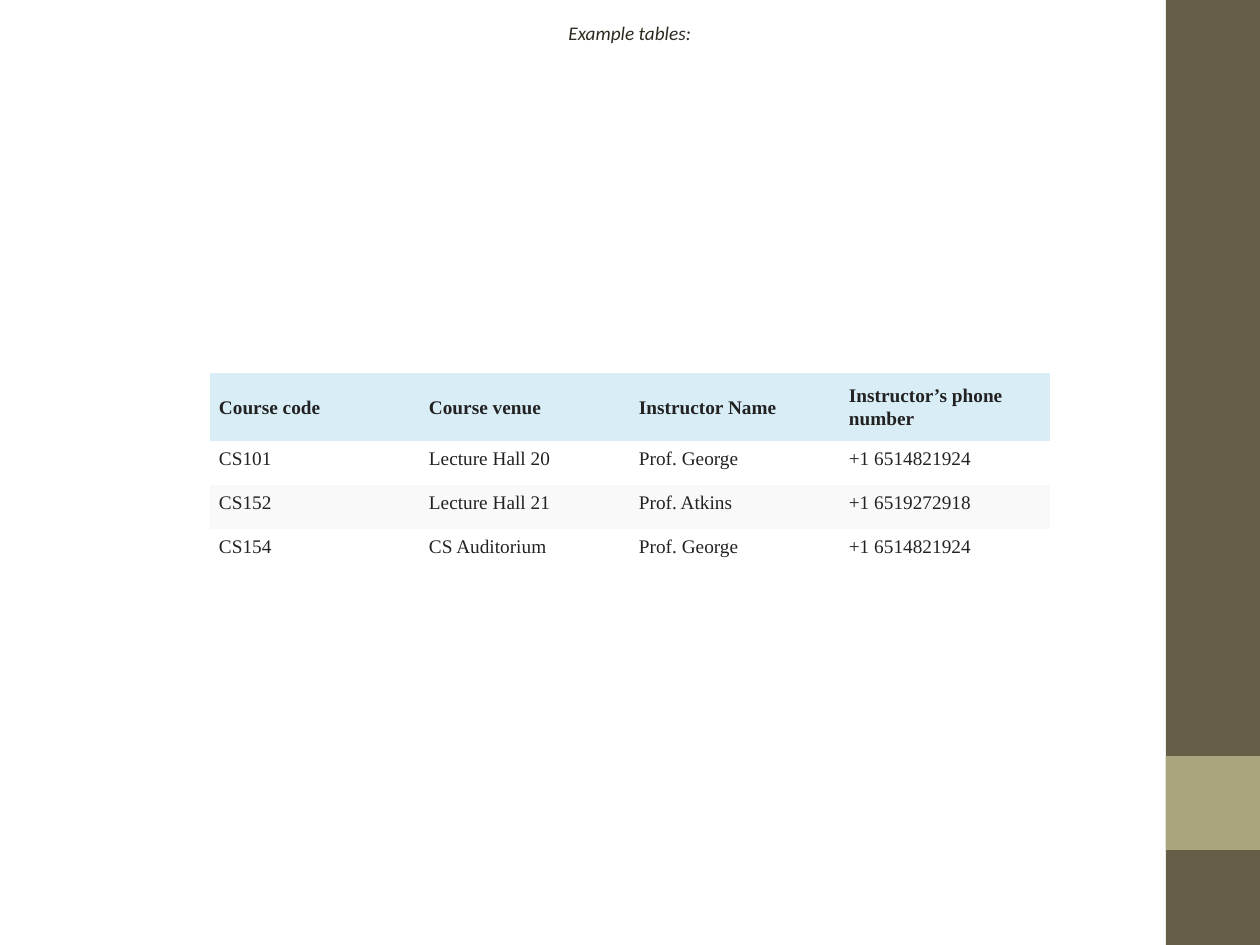
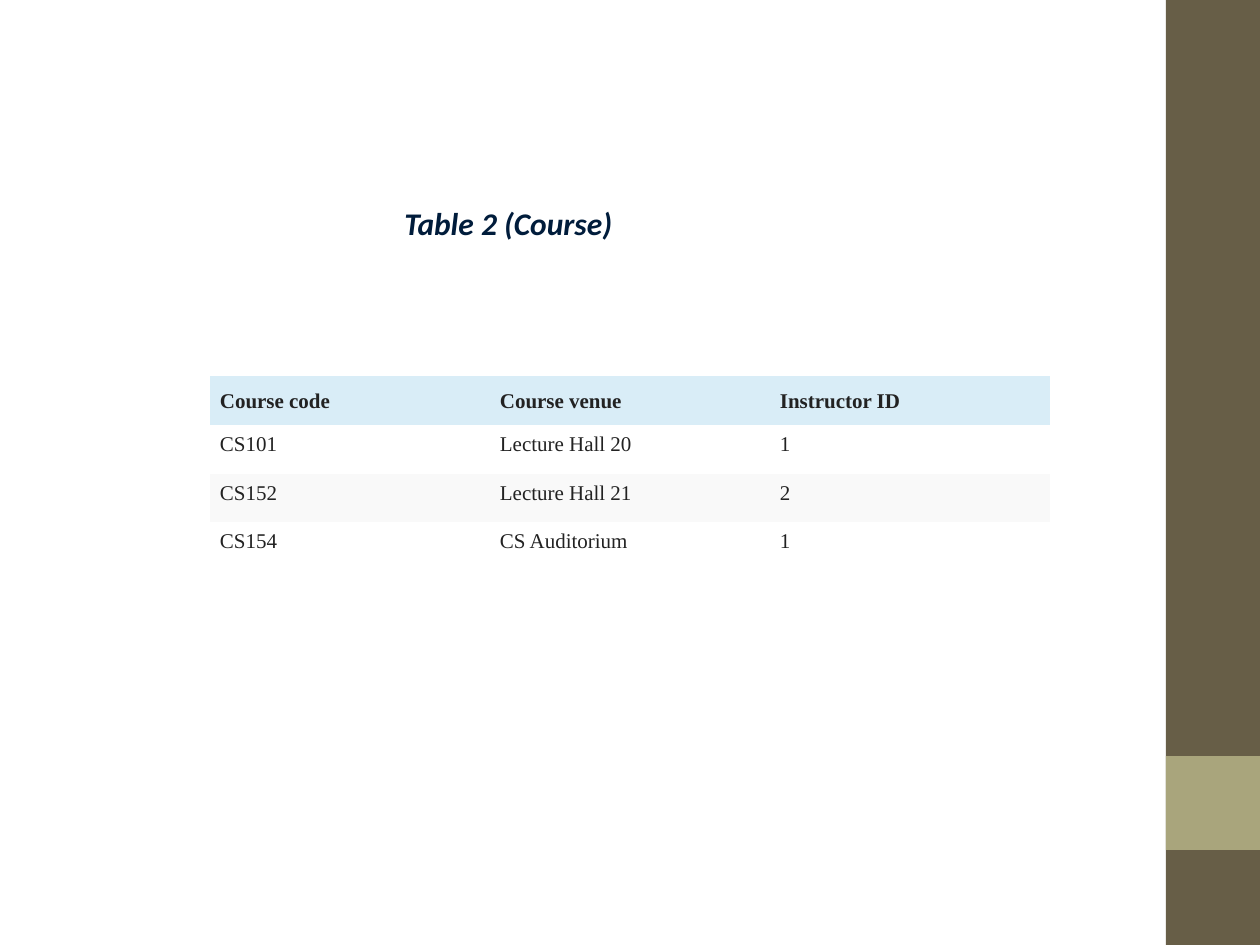
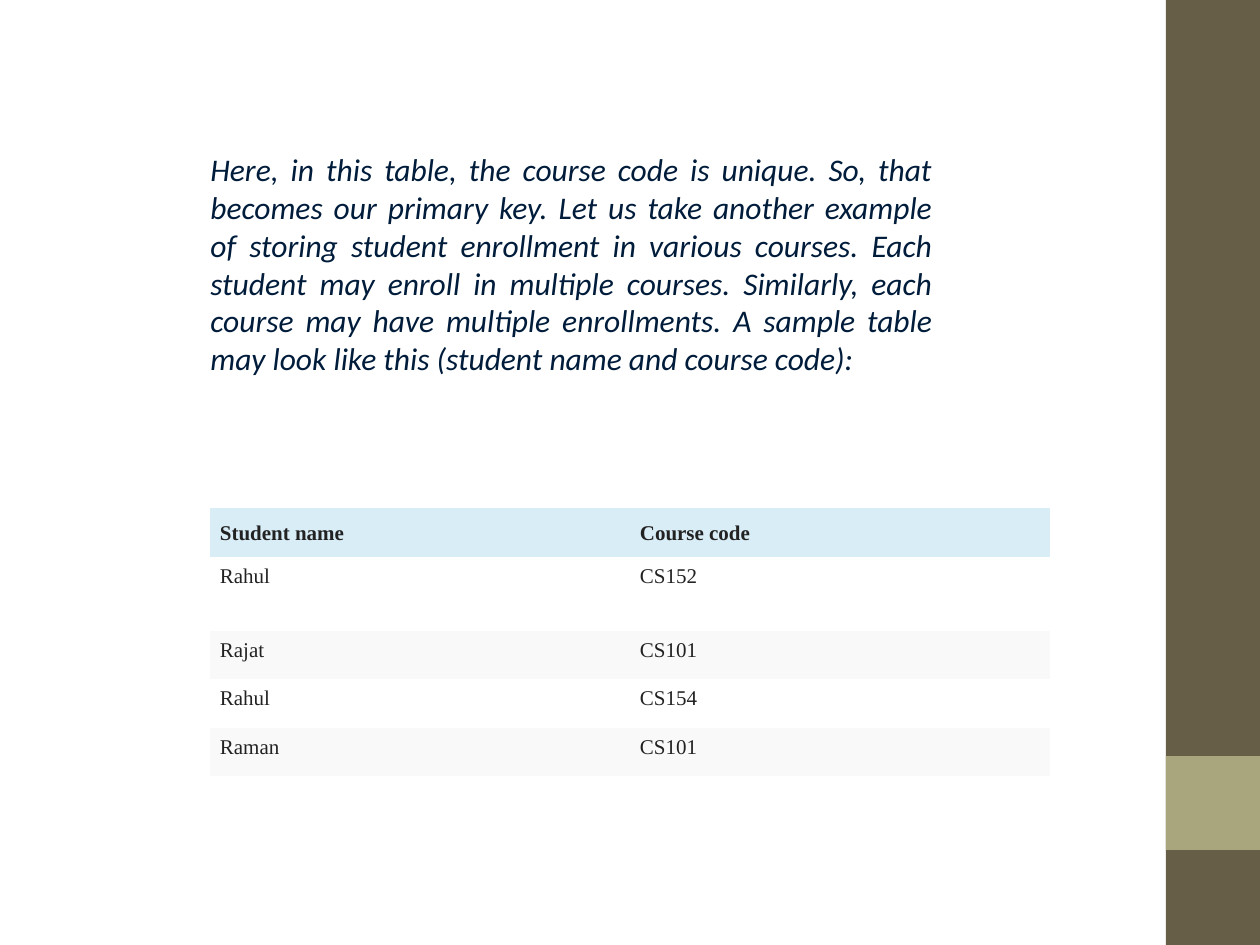
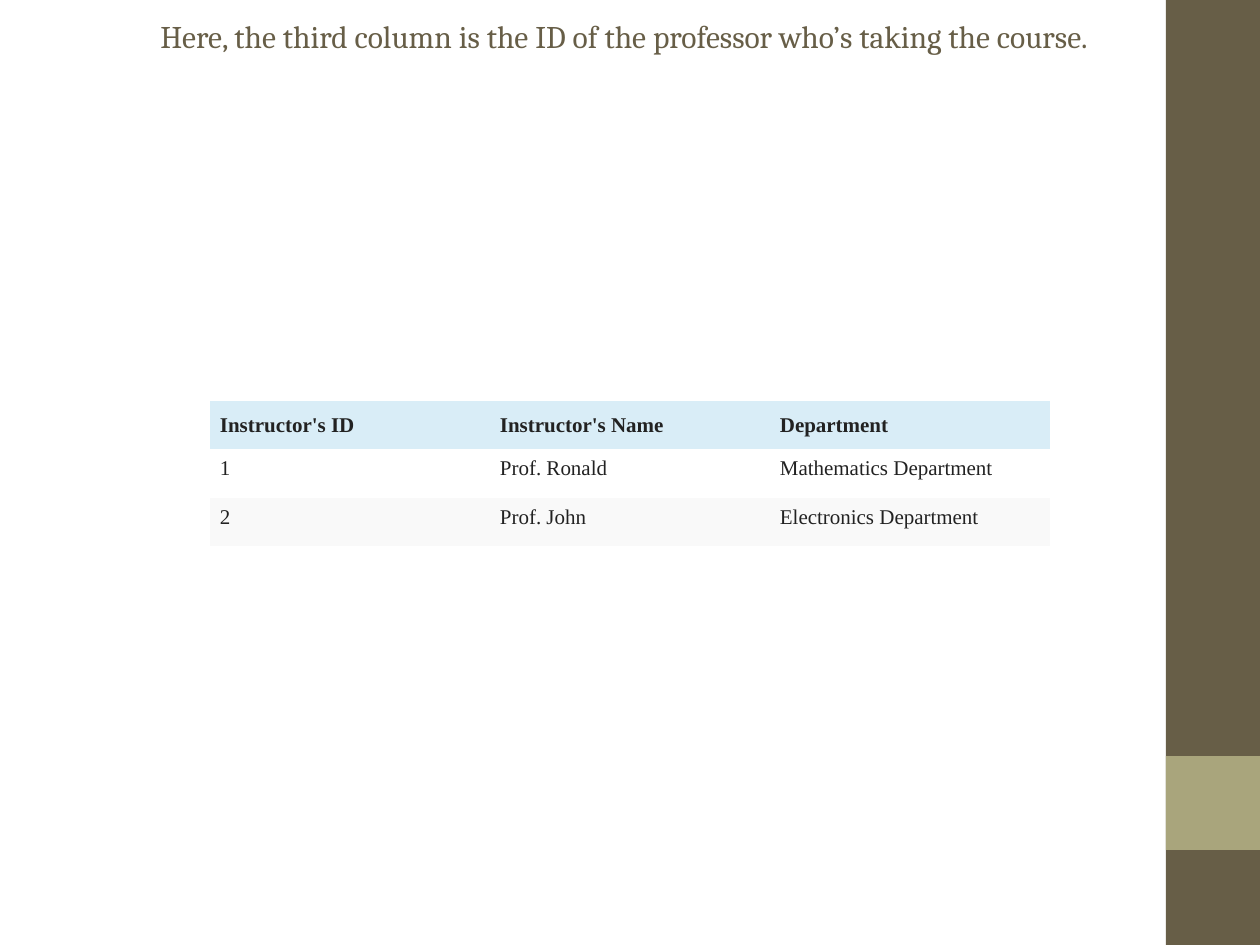
from pptx import Presentation
from pptx.dml.color import RGBColor
from pptx.enum import shapes, text
from pptx.oxml.ns import qn
from pptx.util import Pt

SCALE = 914400 / 126
PLAIN = "{2D5ABB26-0587-4C30-8999-92F81FD0307C}"
OLIVE, SAGE, NAVY, DARK = "675E47", "A9A57C", "001C3B", "2F2B20"
HEAD, INK, ROWS = "D9EDF7", "222222", ("FFFFFF", "F9F9F9")
MID = text.MSO_ANCHOR.MIDDLE
GROW = text.MSO_AUTO_SIZE.SHAPE_TO_FIT_TEXT


def px(n):
    return round(n * SCALE)


def color(code):
    return RGBColor.from_string(code)


def apply(obj, form):
    for key, val in form.items():
        setattr(obj, key, val)


def paint(obj, code):
    obj.fill.solid()
    obj.fill.fore_color.rgb = color(code)


def write(frame, words, code, font, para):
    line = frame.paragraphs[0]
    apply(line, para)
    run = line.add_run()
    run.text = words
    apply(run.font, font)
    run.font.color.rgb = color(code)


def band(slide, box):
    left, top, wide, high = box
    parts = ((top, high, OLIVE), (top + high * 4 // 5, wide, SAGE))
    for y, tall, code in parts:
        rect = slide.shapes.add_shape(
            shapes.MSO_SHAPE.RECTANGLE, px(left), px(y), px(wide), px(tall))
        rect.shadow.inherit = False
        paint(rect, code)
        rect.line.fill.background()


def label(slide, box, words, code, font, para, form):
    frame = slide.shapes.add_textbox(*map(px, box)).text_frame
    apply(frame, {"word_wrap": True, **form})
    write(frame, words, code, font, para)


def grid(slide, box, rows, highs, size=12, pad=10):
    left, top, wide = box
    cols = len(rows[0])
    part = slide.shapes.add_table(
        len(rows), cols, px(left), px(top), px(wide), px(sum(highs)))
    for style in part.element.iter(qn("a:tableStyleId")):
        style.text = PLAIN
    table = part.table
    for col in table.columns:
        col.width = px(wide / cols)
    for i, (row, high) in enumerate(zip(rows, highs)):
        table.rows[i].height = px(high)
        for j, words in enumerate(row):
            cell = table.cell(i, j)
            apply(cell, {
                "margin_left": px(pad), "margin_right": px(pad),
                "margin_top": px(6), "margin_bottom": px(6),
                "vertical_anchor": text.MSO_ANCHOR.TOP if i else MID})
            paint(cell, ROWS[(i - 1) % 2] if i else HEAD)
            font = {"name": "Times New Roman", "size": Pt(size), "bold": i == 0}
            write(cell.text_frame, words, INK, font, {"line_spacing": 1.07})


def page(deck):
    slide = deck.slides.add_slide(deck.slide_layouts[6])
    band(slide, (1166, 0, 94, 945))
    return slide


def main():
    deck = Presentation()
    apply(deck, {"slide_width": px(1260), "slide_height": px(945)})
    note = {"name": "Calibri", "size": Pt(18), "italic": True}
    gap = {"space_before": Pt(7.9)}

    slide = page(deck)
    grid(slide, (210, 373, 840), (
        ("Course code", "Course venue", "Instructor Name",
         "Instructor’s phone number"),
        ("CS101", "Lecture Hall 20", "Prof. George", "+1 6514821924"),
        ("CS152", "Lecture Hall 21", "Prof. Atkins", "+1 6519272918"),
        ("CS154", "CS Auditorium", "Prof. George", "+1 6514821924"),
    ), (68, 44, 44, 44), size=11, pad=9)
    label(slide, (556, 14, 149, 37), "Example tables:", DARK,
          {**note, "size": Pt(11)}, {"space_before": Pt(4.8)},
          {"word_wrap": False, "vertical_anchor": MID, "auto_size": GROW})

    slide = page(deck)
    grid(slide, (210, 376, 840), (
        ("Course code", "Course venue", "Instructor ID"),
        ("CS101", "Lecture Hall 20", "1"),
        ("CS152", "Lecture Hall 21", "2"),
        ("CS154", "CS Auditorium", "1"),
    ), (49, 49, 48, 48))
    label(slide, (392, 198, 352, 50), "Table 2 (Course)", NAVY,
          {**note, "bold": True}, gap, {"auto_size": GROW})

    slide = page(deck)
    label(slide, (198, 144, 747, 291),
          "Here, in this table, the course code is unique. So, that becomes "
          "our primary key. Let us take another example of storing student "
          "enrollment in various courses. Each student may enroll in multiple "
          "courses. Similarly, each course may have multiple enrollments. A "
          "sample table may look like this (student name and course code):",
          NAVY, note, {**gap, "alignment": text.PP_ALIGN.JUSTIFY},
          {"auto_size": GROW})
    grid(slide, (210, 508, 840), (
        ("Student name", "Course code"),
        ("Rahul", "CS152"),
        ("Rajat", "CS101"),
        ("Rahul", "CS154"),
        ("Raman", "CS101"),
    ), (49, 74, 48, 49, 48))

    slide = page(deck)
    label(slide, (148, 0, 1112, 108),
          "Here, the third column is the ID of the professor who’s taking "
          "the course.", OLIVE, {"name": "Cambria", "size": Pt(18)}, {},
          {"margin_top": px(17)})
    grid(slide, (210, 401, 840), (
        ("Instructor's ID", "Instructor's Name", "Department"),
        ("1", "Prof. Ronald", "Mathematics Department"),
        ("2", "Prof. John", "Electronics Department"),
    ), (48, 49, 48))

    deck.save("out.pptx")


if __name__ == "__main__":
    main()
